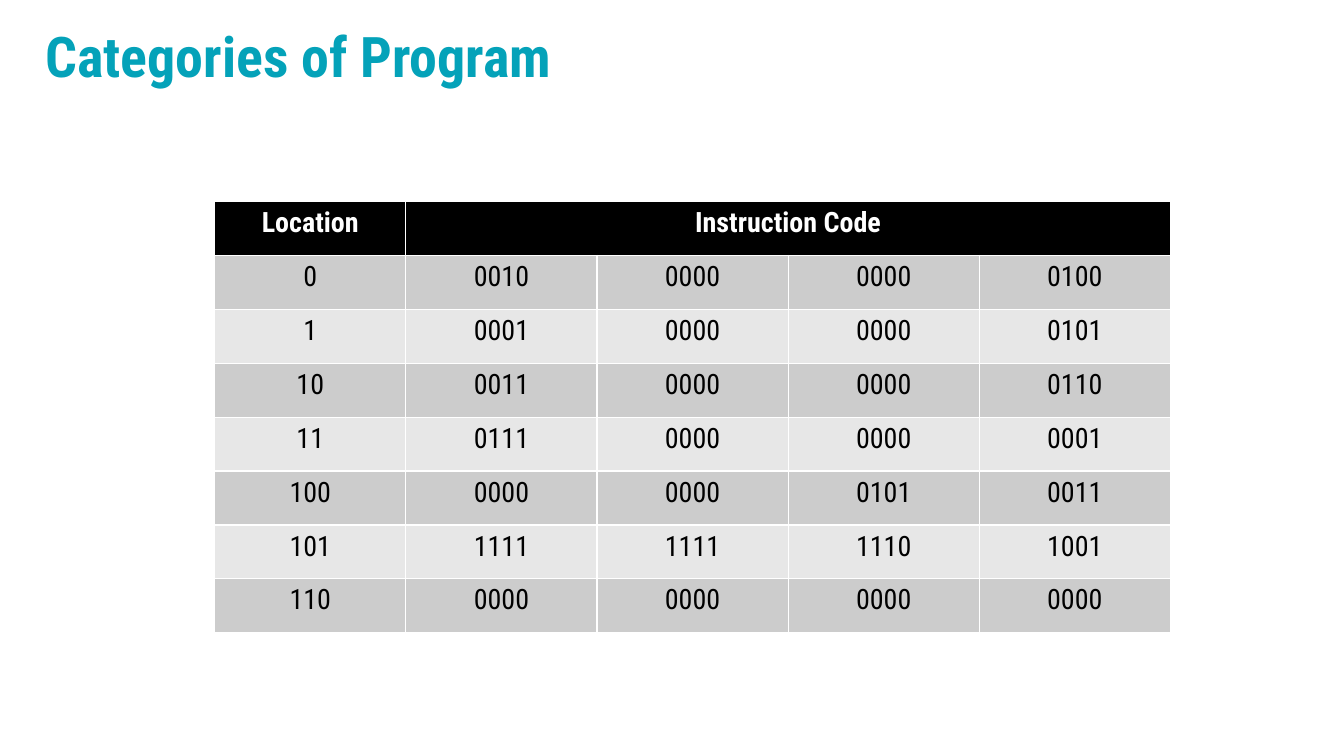
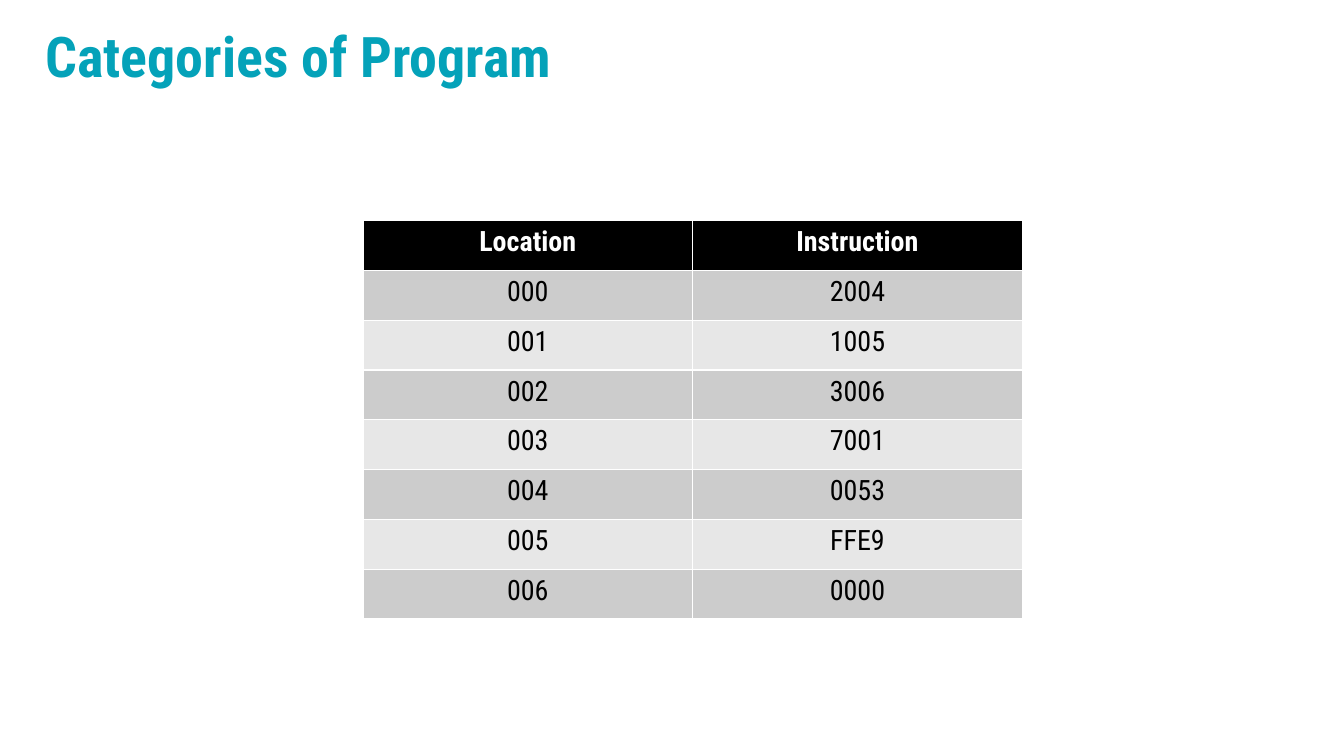
"""Build two slides that list a program in binary and in hexadecimal code."""
from pptx import Presentation
from pptx.dml.color import RGBColor
from pptx.enum.text import MSO_ANCHOR, MSO_AUTO_SIZE, PP_ALIGN
from pptx.util import Inches, Pt

FONT = "Roboto Condensed"
TEAL = RGBColor(0x04, 0xA2, 0xB9)
BLACK = RGBColor(0x00, 0x00, 0x00)
WHITE = RGBColor(0xFF, 0xFF, 0xFF)
BANDS = [RGBColor(0xE7, 0xE7, 0xE7), RGBColor(0xCC, 0xCC, 0xCC)]

BINARY = [
    ["Location", "Instruction Code", "", "", ""],
    ["0", "0010", "0000", "0000", "0100"],
    ["1", "0001", "0000", "0000", "0101"],
    ["10", "0011", "0000", "0000", "0110"],
    ["11", "0111", "0000", "0000", "0001"],
    ["100", "0000", "0000", "0101", "0011"],
    ["101", "1111", "1111", "1110", "1001"],
    ["110", "0000", "0000", "0000", "0000"],
]
HEX = [
    ["Location", "Instruction"],
    ["000", "2004"],
    ["001", "1005"],
    ["002", "3006"],
    ["003", "7001"],
    ["004", "0053"],
    ["005", "FFE9"],
    ["006", "0000"],
]
TABLES = [
    (BINARY, (2.13, 2, 9.48, 4.28)),
    (HEX, (3.6, 2.19, 6.54, 3.95)),
]


def style(para, size, color, bold):
    """Set the font of one paragraph."""
    font = para.font
    font.name, font.size, font.bold = FONT, Pt(size), bold
    font.color.rgb = color


deck = Presentation()
deck.slide_width, deck.slide_height = Inches(13.33), Inches(7.5)

for rows, box in TABLES:
    slide = deck.slides.add_slide(deck.slide_layouts[5])

    title = slide.shapes.title
    title.left, title.top = Inches(0.35), Inches(0.14)
    title.width, title.height = Inches(10.1), Inches(0.89)
    frame = title.text_frame
    frame.text = "Categories of Program"
    frame.auto_size = MSO_AUTO_SIZE.NONE
    frame.vertical_anchor = MSO_ANCHOR.MIDDLE
    head = frame.paragraphs[0]
    head.alignment = PP_ALIGN.LEFT
    head.line_spacing = 0.9
    style(head, 40, TEAL, True)

    place = [Inches(side) for side in box]
    table = slide.shapes.add_table(len(rows), len(rows[0]), *place).table
    for r, row in enumerate(rows):
        for c, text in enumerate(row):
            cell = table.cell(r, c)
            cell.text = text
            cell.fill.solid()
            cell.fill.fore_color.rgb = BANDS[r % 2] if r else BLACK
            para = cell.text_frame.paragraphs[0]
            para.alignment = PP_ALIGN.CENTER
            style(para, 20, BLACK if r else WHITE, r == 0)
    if "" in rows[0]:
        table.cell(0, 1).merge(table.cell(0, len(rows[0]) - 1))

deck.save("out.pptx")
